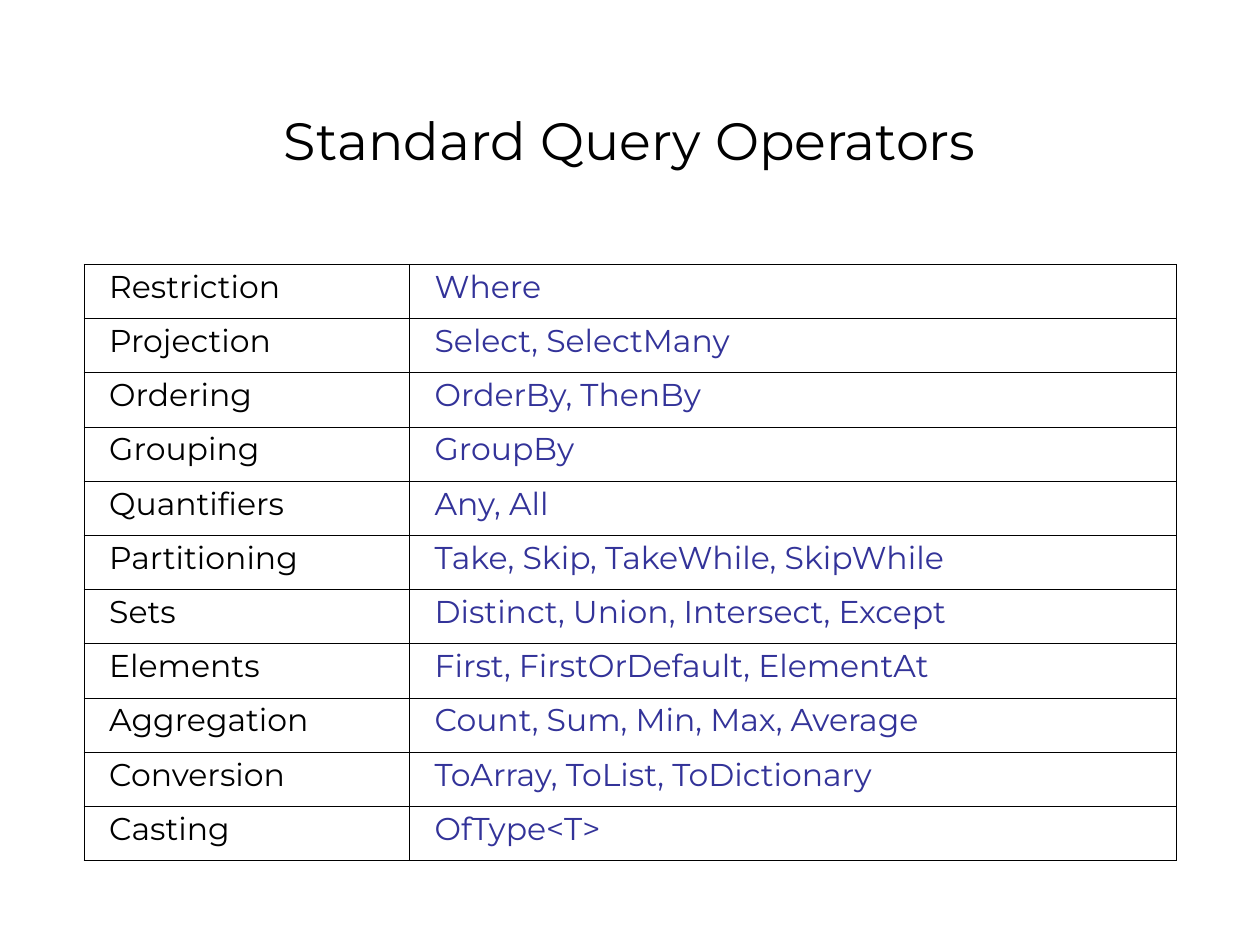
from pptx import Presentation
from pptx.dml.color import RGBColor
from pptx.enum.text import MSO_ANCHOR, PP_ALIGN
from pptx.oxml import parse_xml
from pptx.oxml.ns import nsdecls
from pptx.util import Pt

BLACK = RGBColor(0x00, 0x00, 0x00)
INDIGO = RGBColor(0x33, 0x33, 0x99)
OPERATORS = [
    ("Restriction", "Where"),
    ("Projection", "Select, SelectMany"),
    ("Ordering", "OrderBy, ThenBy"),
    ("Grouping", "GroupBy"),
    ("Quantifiers", "Any, All"),
    ("Partitioning", "Take, Skip, TakeWhile, SkipWhile"),
    ("Sets", "Distinct, Union, Intersect, Except"),
    ("Elements", "First, FirstOrDefault, ElementAt"),
    ("Aggregation", "Count, Sum, Min, Max, Average"),
    ("Conversion", "ToArray, ToList, ToDictionary"),
    ("Casting", "OfType<T>"),
]


class SlideBuilder:
    """Draw styled elements on the current page."""

    font_name = "Montserrat"
    border_width = Pt(0.45)

    def __init__(self, page):
        self.page = page

    def style(self, para, size, color, spacing):
        para.font.name = self.font_name
        para.font.size = Pt(size)
        para.font.color.rgb = color
        para.line_spacing = spacing

    def title(self, text, left, top, width, height):
        box = self.page.shapes.add_textbox(Pt(left), Pt(top), Pt(width), Pt(height))
        frame = box.text_frame
        frame.word_wrap = True
        frame.vertical_anchor = MSO_ANCHOR.MIDDLE
        para = frame.paragraphs[0]
        para.text = text
        para.alignment = PP_ALIGN.CENTER
        self.style(para, 30, BLACK, 0.8)

    def borders(self, cell):
        properties = cell._tc.get_or_add_tcPr()
        for side in "LRTB":
            properties.append(parse_xml(
                f'<a:ln{side} {nsdecls("a")} w="{self.border_width}"><a:solidFill>'
                f'<a:srgbClr val="{BLACK}"/></a:solidFill></a:ln{side}>'
            ))

    def cell(self, cell, text, color):
        self.borders(cell)
        cell.fill.background()
        cell.margin_left = cell.margin_right = Pt(14.4)
        cell.margin_top = cell.margin_bottom = Pt(3.6)
        para = cell.text_frame.paragraphs[0]
        para.text = text
        para.space_before = Pt(4.5)
        self.style(para, 18, color, 0.9)

    def table(self, records, left, top, widths, row_height, colors):
        table = self.page.shapes.add_table(
            len(records), len(widths), Pt(left), Pt(top),
            Pt(sum(widths)), Pt(row_height * len(records)),
        ).table
        table.first_row = table.horz_banding = False
        for column, width in zip(table.columns, widths):
            column.width = Pt(width)
        for row, record in zip(table.rows, records):
            row.height = Pt(row_height)
            for cell, text, color in zip(row.cells, record, colors):
                self.cell(cell, text, color)


def main():
    deck = Presentation()
    deck.slide_width, deck.slide_height = Pt(720), Pt(540)
    builder = SlideBuilder(deck.slides.add_slide(deck.slide_layouts[6]))
    builder.title("Standard Query Operators", 0, 38, 720, 90)
    builder.table(OPERATORS, 48, 151, (186, 438), 31, (BLACK, INDIGO))
    deck.save("out.pptx")


if __name__ == "__main__":
    main()
